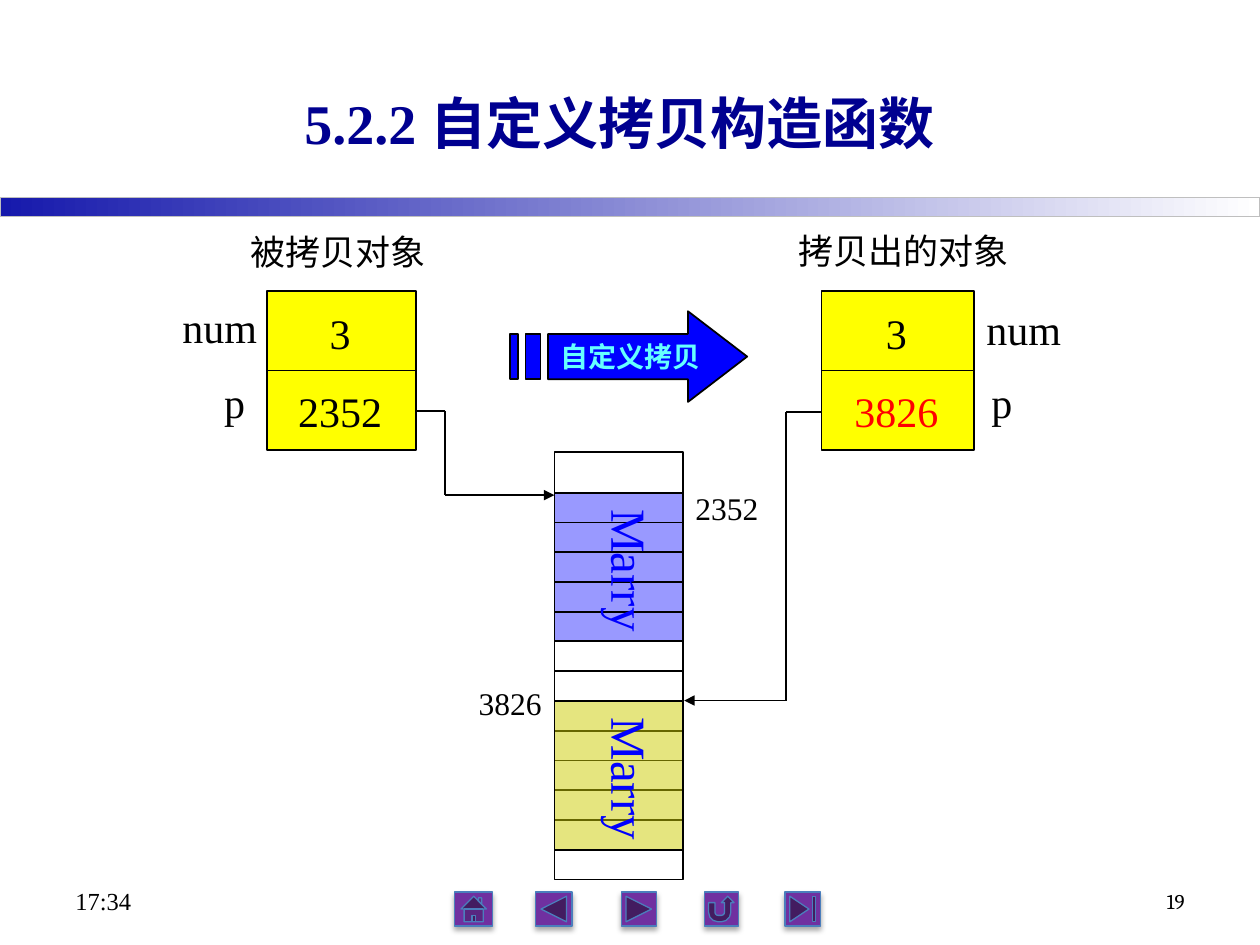
from typing import NamedTuple
from lxml.etree import SubElement
from pptx import Presentation
from pptx.dml.color import RGBColor
from pptx.enum.shapes import MSO_CONNECTOR, MSO_SHAPE
from pptx.enum.text import MSO_ANCHOR, PP_ALIGN
from pptx.oxml.ns import qn
from pptx.util import Inches, Pt

COLORS = {
    "black": "000000", "title": "000090", "bar": "1619AC", "white": "FFFFFF",
    "bar_line": "BFBFBF", "object": "FFFF00", "source": "9999FF", "copied": "CCCC00",
    "arrow": "0000FF", "arrow_text": "66FFFF", "changed": "FF0000",
    "button": "7030A0", "button_line": "4B7EBC",
}
SERIF = "Times New Roman"

presentation = Presentation()
presentation.slide_width, presentation.slide_height = Inches(10), Inches(7.5)
COLUMN = presentation.slide_width / 100
ROW = presentation.slide_height / 75


class Box(NamedTuple):
    left: float
    top: float
    width: float
    height: float

    def emu(self):
        return (round(self.left * COLUMN), round(self.top * ROW),
                round(self.width * COLUMN), round(self.height * ROW))

    def inner(self, left, top, width, height):
        return Box(self.left + left, self.top + top, width, height)


def color(name):
    return RGBColor.from_string(COLORS[name])


def style(shape, fill, line="black", weight=1):
    shape.shadow.inherit = False
    if fill:
        shape.fill.solid()
        shape.fill.fore_color.rgb = color(fill)
    else:
        shape.fill.background()
    shape.line.color.rgb = color(line)
    shape.line.width = Pt(weight)


def add_box(slide, box, fill, kind=MSO_SHAPE.RECTANGLE, **options):
    shape = slide.shapes.add_shape(kind, *box.emu())
    style(shape, fill, **options)
    return shape


def write(frame, runs, size, ink="black", bold=False, align=PP_ALIGN.LEFT):
    paragraph = frame.paragraphs[0]
    paragraph.alignment = align
    for text, font in runs:
        run = paragraph.add_run()
        run.text = text
        run.font.name = font
        run.font.size = Pt(size)
        run.font.bold = bold
        run.font.color.rgb = color(ink)


def add_text(slide, box, text, size, font=SERIF, anchor=MSO_ANCHOR.TOP, **options):
    frame = slide.shapes.add_textbox(*box.emu()).text_frame
    frame.word_wrap = True
    frame.vertical_anchor = anchor
    runs = [(text, font)] if isinstance(text, str) else text
    write(frame, runs, size, **options)
    return frame


def add_line(slide, start, end, arrow=False):
    points = [round(value * unit) for point in (start, end)
              for value, unit in zip(point, (COLUMN, ROW))]
    line = slide.shapes.add_connector(MSO_CONNECTOR.STRAIGHT, *points)
    line.line.color.rgb = color("black")
    line.line.width = Pt(1)
    properties = line._element.spPr
    if arrow:
        SubElement(properties.find(qn("a:ln")), qn("a:tailEnd"), type="triangle")
    SubElement(properties, qn("a:effectLst"))


def add_pointer(slide, points):
    for index, (start, end) in enumerate(zip(points, points[1:])):
        add_line(slide, start, end, arrow=index == len(points) - 2)


def draw_header(slide, box):
    bar = add_box(slide, box.inner(0, 15.7, box.width, 1.5), "white",
                  line="bar_line", weight=0.75)
    bar.fill.gradient()
    bar.fill.gradient_angle = 0
    for stop, name in zip(bar.fill.gradient_stops, ("bar", "white")):
        stop.color.rgb = color(name)
    title = [("5.2.2 ", SERIF), ("自定义", "Arial"), ("拷贝构造函数", SERIF)]
    add_text(slide, box.inner(10.2, 3.4, 78, 12.5), title, 32, ink="title", bold=True,
             anchor=MSO_ANCHOR.MIDDLE, align=PP_ALIGN.CENTER)


def draw_object(slide, box, caption, caption_box, labels, address, ink):
    add_text(slide, caption_box, caption, 20)
    add_box(slide, box, "object")
    middle = box.top + box.height / 2
    add_line(slide, (box.left, middle), (box.left + box.width, middle))
    for top, value, value_ink in ((0.8, "3", "black"), (7, address, ink)):
        add_text(slide, box.inner(-0.1, top, box.width, 5), value, 24, ink=value_ink,
                 align=PP_ALIGN.CENTER)
    for text, left, top, width in labels:
        add_text(slide, box.inner(left, top, width, 5), text, 24)


def draw_copy_arrow(slide, box):
    shaft_top, shaft_bottom = 0.25 * box.height, 0.75 * box.height
    neck, shaft_left = 0.75 * box.width, 3
    head = [(neck, 0), (neck, shaft_top), (shaft_left, shaft_top),
            (shaft_left, shaft_bottom), (neck, shaft_bottom), (neck, box.height),
            (box.width, box.height / 2)]
    stripes = [[(left, shaft_top), (left, shaft_bottom),
                (right, shaft_bottom), (right, shaft_top)]
               for left, right in ((1.2, 2.4), (0, 0.6))]
    outlines = [[(round((box.left + x) * COLUMN), round((box.top + y) * ROW))
                 for x, y in outline] for outline in [head, *stripes]]
    builder = slide.shapes.build_freeform(*outlines[0][0])
    for index, outline in enumerate(outlines):
        if index:
            builder.move_to(*outline[0])
        builder.add_line_segments(outline[1:], close=True)
    arrow = builder.convert_to_shape()
    style(arrow, "arrow")
    frame = arrow.text_frame
    frame.word_wrap = True
    frame.margin_left = round((shaft_left + 1) * COLUMN)
    frame.margin_right = 0
    frame.vertical_anchor = MSO_ANCHOR.MIDDLE
    write(frame, [("自定义拷贝", SERIF)], 16, ink="arrow_text", bold=True)


def draw_memory(slide, box):
    first = 3.2
    cell = (box.height - first) / 13
    blocks = [(0, "source", "2352", 10.2), (7, "copied", "3826", -7)]
    areas = [box.inner(0, first + row * cell, box.width, 5 * cell) for row, *_ in blocks]
    add_box(slide, areas[0], "source")
    add_box(slide, box, None)
    for row in [*range(7), *range(8, 12)]:
        y = box.top + first + row * cell
        add_line(slide, (box.left, y), (box.left + box.width, y))
    copied = add_box(slide, areas[1], "copied")
    fill = copied._element.spPr.find(qn("a:solidFill"))
    SubElement(fill[0], qn("a:alpha"), val="50000")
    for area, (_, _, address, left) in zip(areas, blocks):
        top = -0.8 if left > 0 else -1.8
        add_text(slide, area.inner(left, top, 7.1, 4), address, 18)
        frame = add_text(slide, area.inner(2.2, 0.35, 6.7, area.height),
                         "Marry", 28, ink="arrow")
        frame._txBody.bodyPr.set("vert", "eaVert")


def draw_footer(slide, box):
    for left, text, size, font, align in (
            (5, "17:34", 14, SERIF, PP_ALIGN.LEFT),
            (71.7, "19", 12, "Cambria", PP_ALIGN.RIGHT)):
        add_text(slide, box.inner(left, 0, 23.3, box.height), text, size, font,
                 anchor=MSO_ANCHOR.MIDDLE, align=align)
    for left, width, kind in (
            (36.1, 3, MSO_SHAPE.ACTION_BUTTON_HOME),
            (42.5, 2.9, MSO_SHAPE.ACTION_BUTTON_BACK_OR_PREVIOUS),
            (49.3, 2.8, MSO_SHAPE.ACTION_BUTTON_FORWARD_OR_NEXT),
            (55.9, 2.7, MSO_SHAPE.ACTION_BUTTON_RETURN),
            (62.3, 2.8, MSO_SHAPE.ACTION_BUTTON_END)):
        button = add_box(slide, box.inner(left, 1.3, width, 2.7), "button", kind,
                         line="button_line", weight=0.75)
        effects = button._element.spPr.find(qn("a:effectLst"))
        shadow = SubElement(effects, qn("a:outerShdw"), blurRad=str(Pt(3.1)),
                            dist=str(Pt(1.8)), dir="5400000", rotWithShape="0")
        shade = SubElement(shadow, qn("a:srgbClr"), val=COLORS["black"])
        SubElement(shade, qn("a:alpha"), val="35000")


def draw_copy_slide(slide):
    draw_header(slide, Box(0, 0, 100, 17.2))
    draw_object(slide, Box(21.2, 23.1, 11.8, 12.6), "被拷贝对象", Box(18.9, 17.8, 18.1, 4.4),
                [("num", -7.7, 0.3, 8), ("p", -4.4, 6.3, 4.7)], "2352", "black")
    draw_object(slide, Box(65.2, 23.1, 12.1, 12.6), "拷贝出的对象", Box(62.4, 17.7, 20.7, 4.4),
                [("num", 12.1, 0.5, 8.4), ("p", 12.5, 6.3, 4.7)], "3826", "changed")
    draw_copy_arrow(slide, Box(40.5, 24.7, 18.8, 7.2))
    draw_memory(slide, Box(44, 35.9, 10.2, 33.9))
    add_pointer(slide, [(33, 32.6), (35.3, 32.6), (35.3, 39.3), (44, 39.3)])
    add_pointer(slide, [(65.2, 32.7), (62.4, 32.7), (62.4, 55.6), (54.3, 55.6)])
    draw_footer(slide, Box(0, 69.5, 100, 4))


draw_copy_slide(presentation.slides.add_slide(presentation.slide_layouts[6]))
presentation.save("out.pptx")
